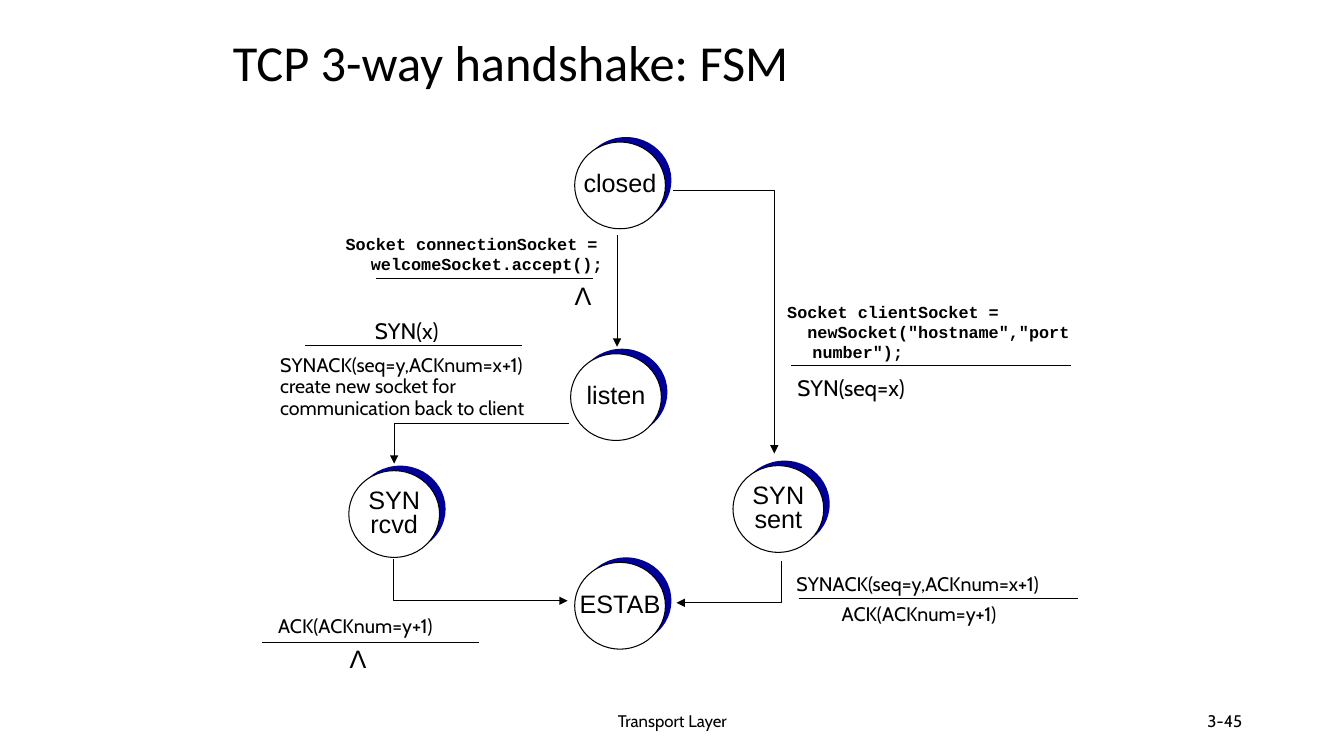
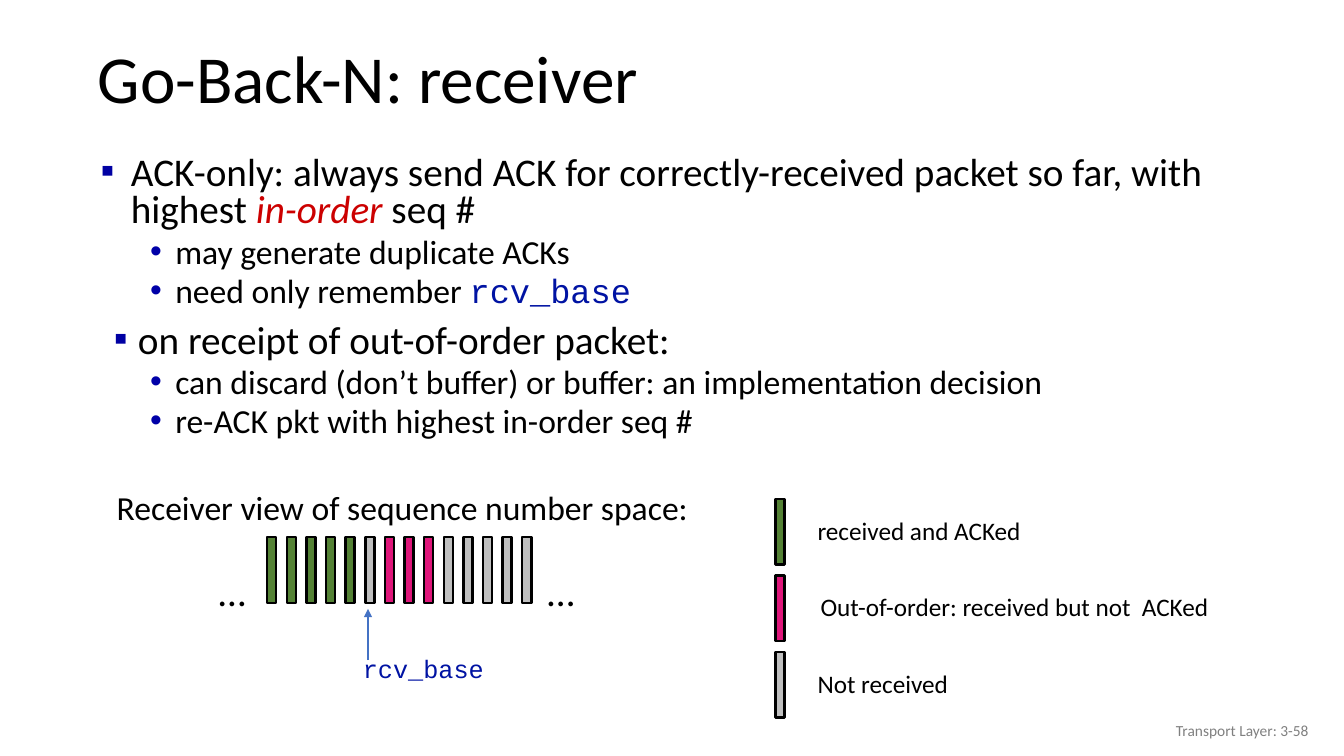
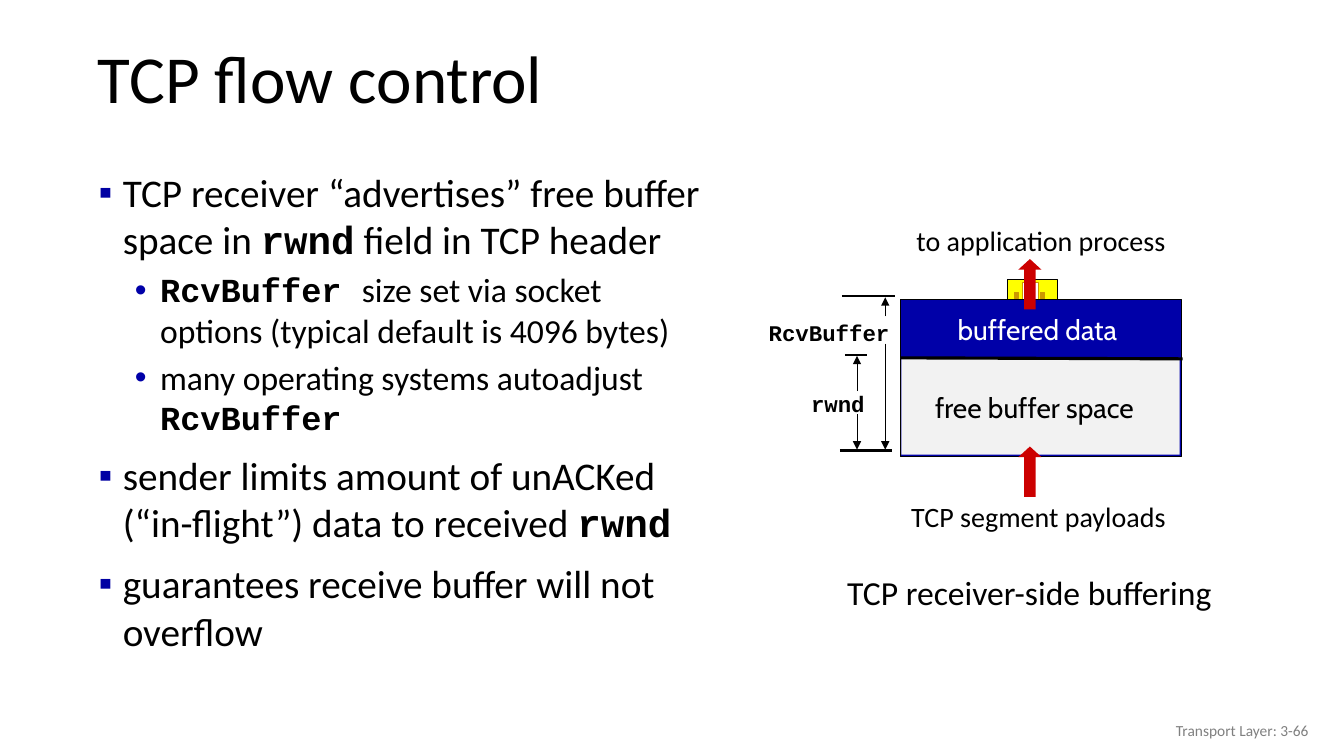
"""Build three transport-layer slides: handshake FSM, Go-Back-N receiver, flow control."""
from collections import namedtuple

from pptx import Presentation
from pptx import util as u
from pptx.dml.color import RGBColor
from pptx.enum import shapes, text
from pptx.oxml.ns import qn
from lxml import etree

BLACK = RGBColor(0x00, 0x00, 0x00)
WHITE = RGBColor(0xFF, 0xFF, 0xFF)
FOOTER_GREY = RGBColor(0x80, 0x80, 0x80)
STATE_BLUE = RGBColor(0x00, 0x00, 0x99)
SQUARE_BLUE = RGBColor(0x00, 0x00, 0xA3)
DEEP_BLUE = RGBColor(0x00, 0x00, 0xA8)
CODE_BLUE = RGBColor(0x00, 0x13, 0xA3)
POINTER_BLUE = RGBColor(0x44, 0x72, 0xC4)
RED = RGBColor(0xCC, 0x00, 0x00)
GREEN = RGBColor(0x54, 0x82, 0x35)
PINK = RGBColor(0xDF, 0x16, 0x7A)
BAR_GREY = RGBColor(0xBF, 0xBF, 0xBF)
FREE_GREY = RGBColor(0xF2, 0xF2, 0xF2)
YELLOW = RGBColor(0xFF, 0xFF, 0x00)
GOLD = RGBColor(0xCC, 0x99, 0x00)

SANS, ARIAL, CABIN, MONO = "Calibri", "Arial", "Cabin", "Courier New"
LEFT, CENTER, RIGHT = text.PP_ALIGN.LEFT, text.PP_ALIGN.CENTER, text.PP_ALIGN.RIGHT
RECT, OVAL = shapes.MSO_SHAPE.RECTANGLE, shapes.MSO_SHAPE.OVAL
UP_ARROW = shapes.MSO_SHAPE.UP_ARROW

Bullet = namedtuple("Bullet", "level mark color margin indent size before")
OPENING = Bullet(0, "▪", SQUARE_BLUE, 0.32, -0.3, 28, 10)
TOPIC = Bullet(0, "▪", SQUARE_BLUE, 0.39, -0.24, 28, 10)
DETAIL = Bullet(1, "•", DEEP_BLUE, 0.76, -0.25, 24, 5)

EMPHASIS = dict(color=RED, italic=True)
VARIABLE = dict(face=MONO, color=CODE_BLUE)
FIELD = dict(face=MONO, bold=True)


def set_font(run, size, face=SANS, color=BLACK, bold=False, italic=False):
    """Format one run."""
    font = run.font
    font.size, font.name, font.bold, font.italic = u.Pt(size), face, bold, italic
    font.color.rgb = color


def set_indent(paragraph, margin, indent):
    """Set the left margin and first-line indent of a paragraph."""
    properties = paragraph._p.get_or_add_pPr()
    properties.set("marL", str(u.Inches(margin)))
    properties.set("indent", str(u.Inches(indent)))
    return properties


def set_words(frame, words, size, align, spacing, **style):
    """Fill a text frame and format it."""
    frame.text = words
    for paragraph in frame.paragraphs:
        paragraph.alignment, paragraph.line_spacing = align, spacing
        for run in paragraph.runs:
            set_font(run, size, **style)


def add_arrowhead(shape):
    """Put a triangle at the end of a line."""
    outline = shape._element.spPr.find(qn("a:ln"))
    etree.SubElement(outline, qn("a:tailEnd"), type="triangle")


class Deck:
    """Holds the shared style and the current slide."""

    def __init__(self):
        self.prs = Presentation()
        self.prs.slide_width, self.prs.slide_height = u.Inches(13.33), u.Inches(7.5)
        self.slide = None

    def start(self, title, box=(0.87, 0.32, 12.14, 0.98), size=48):
        """Add a slide with its title."""
        self.slide = self.prs.slides.add_slide(self.prs.slide_layouts[5])
        holder = self.slide.shapes.title
        holder.left, holder.top, holder.width, holder.height = map(u.Inches, box)
        frame = holder.text_frame
        set_words(frame, title, size, LEFT, 0.9)
        frame.auto_size = text.MSO_AUTO_SIZE.NONE
        frame.vertical_anchor = text.MSO_ANCHOR.MIDDLE

    def label(self, words, x, y, w, h, size, align=LEFT, spacing=1.0, wrap=False, **style):
        """Add a text box in one style."""
        box = self.slide.shapes.add_textbox(*map(u.Inches, (x, y, w, h)))
        frame = box.text_frame
        frame.word_wrap = wrap
        frame.auto_size = text.MSO_AUTO_SIZE.SHAPE_TO_FIT_TEXT
        set_words(frame, words, size, align, spacing, **style)
        return frame

    def code(self, words, x, y, w, h):
        """Add a code snippet with hanging lines."""
        frame = self.label(words, x, y, w, h, 12, wrap=True, **FIELD)
        for paragraph in frame.paragraphs:
            set_indent(paragraph, 0.25, -0.25)

    def footer(self, words, x, y, w, align=RIGHT, **style):
        """Add a footer line."""
        frame = self.label(words, x, y, w, 0.4, align=align, wrap=True, **style)
        frame.auto_size = text.MSO_AUTO_SIZE.NONE
        frame.vertical_anchor = text.MSO_ANCHOR.MIDDLE

    def page(self, number):
        """Add the grey chapter and page footer."""
        self.footer(f"Transport Layer: {number}", 10.08, 7.05, 3, size=11, color=FOOTER_GREY)

    def bullets(self, items, x, y, w, h, spacing=1.0):
        """Add a bulleted list; each item is a bullet kind and its runs."""
        box = self.slide.shapes.add_textbox(*map(u.Inches, (x, y, w, h)))
        frame = box.text_frame
        frame.word_wrap = True
        for index, (kind, *parts) in enumerate(items):
            paragraph = frame.add_paragraph() if index else frame.paragraphs[0]
            paragraph.level = kind.level
            properties = set_indent(paragraph, kind.margin, kind.indent)
            color = etree.SubElement(properties, qn("a:buClr"))
            etree.SubElement(color, qn("a:srgbClr"), val=str(kind.color))
            etree.SubElement(properties, qn("a:buFont"), typeface=ARIAL)
            etree.SubElement(properties, qn("a:buChar"), char=kind.mark)
            paragraph.line_spacing = spacing
            paragraph.space_before = u.Pt(kind.before if index else 0)
            for part in parts:
                words, style = (part, {}) if isinstance(part, str) else part
                run = paragraph.add_run()
                run.text = words
                set_font(run, kind.size, **style)

    def shape(self, kind, x, y, w, h, fill, line=None, width=0.75):
        """Add a filled preset shape."""
        shape = self.slide.shapes.add_shape(kind, *map(u.Inches, (x, y, w, h)))
        shape.shadow.inherit = False
        shape.fill.solid()
        shape.fill.fore_color.rgb = fill
        if line is None:
            shape.line.fill.background()
        else:
            shape.line.color.rgb, shape.line.width = line, u.Pt(width)
        return shape

    def line(self, x1, y1, x2, y2, width=0.75, color=BLACK, arrow=False):
        """Add a straight line, with an arrowhead at its end if asked."""
        line = self.slide.shapes.add_connector(
            shapes.MSO_CONNECTOR.STRAIGHT, *map(u.Inches, (x1, y1, x2, y2)))
        line.line.color.rgb, line.line.width = color, u.Pt(width)
        etree.SubElement(line._element.spPr, qn("a:effectLst"))
        if arrow:
            add_arrowhead(line)

    def bent_arrow(self, *points):
        """Add an arrow that runs through the points."""
        start, *rest = [(u.Inches(x), u.Inches(y)) for x, y in points]
        builder = self.slide.shapes.build_freeform(*start)
        builder.add_line_segments(rest, close=False)
        arrow = builder.convert_to_shape()
        arrow.shadow.inherit = False
        arrow.fill.background()
        arrow.line.color.rgb, arrow.line.width = BLACK, u.Pt(0.75)
        add_arrowhead(arrow)

    def state(self, name, x, y):
        """Add a state circle with its blue backing."""
        self.shape(OVAL, x + 0.06, y - 0.05, 0.9, 0.86, STATE_BLUE)
        circle = self.shape(OVAL, x, y, 0.9, 0.86, WHITE, BLACK)
        frame = circle.text_frame
        frame.word_wrap = False
        frame.margin_left = frame.margin_right = frame.margin_top = frame.margin_bottom = 0
        frame.vertical_anchor = text.MSO_ANCHOR.MIDDLE
        set_words(frame, name, 18, CENTER, 0.8, face=ARIAL)

    def bar(self, x, y, fill):
        """Add one packet bar."""
        self.shape(RECT, x, y, 0.09, 0.65, fill, BLACK, 1.75)


def handshake(deck):
    """Draw the handshake state machine."""
    deck.start("TCP 3-way handshake: FSM", (2.21, 0.18, 5.86, 0.93), 36)
    for name, x, y in (("closed", 5.7, 1.41), ("listen", 5.66, 3.51), ("SYN\nrcvd", 3.46, 4.67),
                       ("SYN\nsent", 7.27, 4.62), ("ESTAB", 5.7, 5.58)):
        deck.state(name, x, y)

    deck.line(6.12, 2.33, 6.12, 3.44, arrow=True)
    deck.bent_arrow((6.68, 1.89), (7.68, 1.89), (7.68, 4.5))
    deck.bent_arrow((5.64, 4.2), (3.91, 4.2), (3.91, 4.6))
    deck.bent_arrow((3.9, 5.55), (3.9, 5.96), (5.63, 5.96))
    deck.bent_arrow((7.75, 5.57), (7.75, 5.98), (6.71, 5.98))

    for x, y, w in ((7.85, 3.63, 2.77), (3.73, 2.76, 2.15), (3.03, 3.43, 2.15),
                    (7.92, 5.94, 2.77), (2.6, 6.37, 2.15)):
        deck.line(x, y, x + w, y)

    deck.code("Socket connectionSocket = welcomeSocket.accept();", 3.33, 2.27, 2.82, 0.5)
    deck.code('Socket clientSocket =\n  newSocket("hostname","port number");',
              7.71, 2.94, 3.16, 0.71)
    for x, y in ((5.6, 2.73), (3.37, 6.33)):
        deck.label("Λ", x, y, 0.37, 0.4, 18, face=ARIAL)
    deck.label("SYN(seq=x)", 7.81, 3.66, 1.38, 0.37, 16, face=CABIN)
    deck.label("SYN(x)", 3.62, 3.1, 0.88, 0.37, 16, face=CABIN)

    synack, ack = "SYNACK(seq=y,ACKnum=x+1)", "ACK(ACKnum=y+1)"
    reply = f"{synack}\ncreate new socket for\ncommunication back to client"
    for words, x, y, w, h in ((reply, 2.68, 3.48, 2.85, 0.71), (synack, 7.8, 5.65, 2.86, 0.5),
                              (ack, 8.25, 5.95, 1.93, 0.5), (ack, 2.66, 6.07, 1.93, 0.5)):
        deck.label(words, x, y, w, h, 14, spacing=0.9, face=CABIN)

    deck.footer("Transport Layer", 4.42, 6.95, 4.5, CENTER, size=12, face=CABIN)
    deck.footer("3-45", 9.42, 6.95, 3, size=12, face=CABIN)


def go_back_n(deck):
    """Draw the receiver view of Go-Back-N."""
    deck.start("Go-Back-N: receiver")
    deck.bullets([
        (OPENING, "ACK-only: always send ACK for correctly-received packet so far, with highest ",
         ("in-order", EMPHASIS), " seq #"),
        (DETAIL, "may generate duplicate ACKs"),
        (DETAIL, "need only remember ", ("rcv_base", VARIABLE)),
        (TOPIC, "on receipt of out-of-order packet:"),
        (DETAIL, "can discard (don’t buffer) or buffer: an implementation decision"),
        (DETAIL, "re-ACK pkt with highest in-order seq #"),
    ], 0.88, 1.5, 11.28, 3.12, 0.8)

    deck.label("Receiver view of sequence number space:", 1.06, 4.78, 5.93, 0.5, 24)
    packets = [GREEN] * 5 + [BAR_GREY] + [PINK] * 3 + [BAR_GREY] * 5
    first, last = 2.65, 5.18
    pitch = (last - first) / (len(packets) - 1)
    for index, fill in enumerate(packets):
        deck.bar(first + index * pitch, 5.33, fill)
    for x in (2.07, 5.33):
        deck.label("…", x, 5.58, 0.47, 0.57, 28)
    deck.label("rcv_base", 3.5, 6.43, 1.41, 0.4, 18, **VARIABLE)
    deck.line(3.65, 6.55, 3.65, 6.04, 1.75, POINTER_BLUE, arrow=True)

    legend = ((GREEN, "received and ACKed", 8.01, 2.29),
              (PINK, "Out-of-order: received but not  ACKed", 8.04, 4.09),
              (BAR_GREY, "Not received", 8.01, 1.51))
    for index, (fill, meaning, x, w) in enumerate(legend):
        y = 4.95 + index * 0.76
        deck.bar(7.69, y, fill)
        deck.label(meaning, x, y + 0.11, w, 0.4, 18)
    deck.page("3-58")


def flow_control(deck):
    """Draw the receive buffer and its window."""
    deck.start("TCP flow control")
    deck.bullets([
        (TOPIC, "TCP receiver “advertises” free buffer space in ", ("rwnd", FIELD),
         " field in TCP header"),
        (DETAIL, ("RcvBuffer ", FIELD),
         "size set via socket options (typical default is 4096 bytes)"),
        (DETAIL, "many operating systems autoadjust ", ("RcvBuffer", FIELD)),
        (TOPIC, "sender limits amount of unACKed (“in-flight”) data to received ",
         ("rwnd", FIELD)),
        (TOPIC, "guarantees receive buffer will not overflow"),
    ], 0.73, 1.62, 6.37, 5.37)

    deck.shape(RECT, 9.99, 2.77, 0.5, 0.23, YELLOW, BLACK)
    deck.shape(RECT, 10.14, 2.8, 0.16, 0.17, WHITE, GOLD)
    for x in (10.06, 10.32):
        deck.shape(RECT, x, 2.9, 0.04, 0.06, GOLD, GOLD)
    deck.shape(RECT, 8.93, 2.97, 2.79, 1.56, DEEP_BLUE, BLACK)
    deck.shape(RECT, 8.94, 3.55, 2.76, 0.96, FREE_GREY)
    deck.line(8.93, 3.55, 11.73, 3.56, 2.25)
    for y in (2.57, 4.43):
        arrow = deck.shape(UP_ARROW, 10.1, y, 0.23, 0.5, RED)
        arrow.adjustments[0], arrow.adjustments[1] = 0.5, 0.46

    deck.label("buffered data", 9.36, 3.05, 1.86, 0.43, 20, CENTER, face=CABIN, color=WHITE)
    deck.label("free buffer space", 9.12, 3.83, 2.28, 0.43, 20, CENTER, face=CABIN)
    deck.label("to application process", 8.97, 2.17, 2.71, 0.44, 20, CENTER)
    deck.label("TCP segment payloads", 8.92, 4.91, 2.76, 0.44, 20, CENTER)
    deck.label("TCP receiver-side buffering", 8.26, 5.62, 3.9, 0.5, 24, CENTER)
    deck.label("rwnd", 7.94, 3.82, 0.74, 0.37, 16, CENTER, **FIELD)
    deck.label("RcvBuffer", 7.52, 3.12, 1.4, 0.37, 16, RIGHT, **FIELD)

    for x, start, end in ((8.5, 3.88, 3.53), (8.5, 4.11, 4.46),
                          (8.78, 3.14, 2.95), (8.78, 3.41, 4.46)):
        deck.line(x, start, x, end, arrow=True)
    for x1, x2, y in ((8.33, 8.85, 4.47), (8.38, 8.6, 3.52), (8.35, 8.88, 2.94)):
        deck.line(x1, y, x2, y, 1.5)
    deck.page("3-66")


def main():
    """Build and save the slides."""
    deck = Deck()
    for build in (handshake, go_back_n, flow_control):
        build(deck)
    deck.prs.save("out.pptx")


if __name__ == "__main__":
    main()
